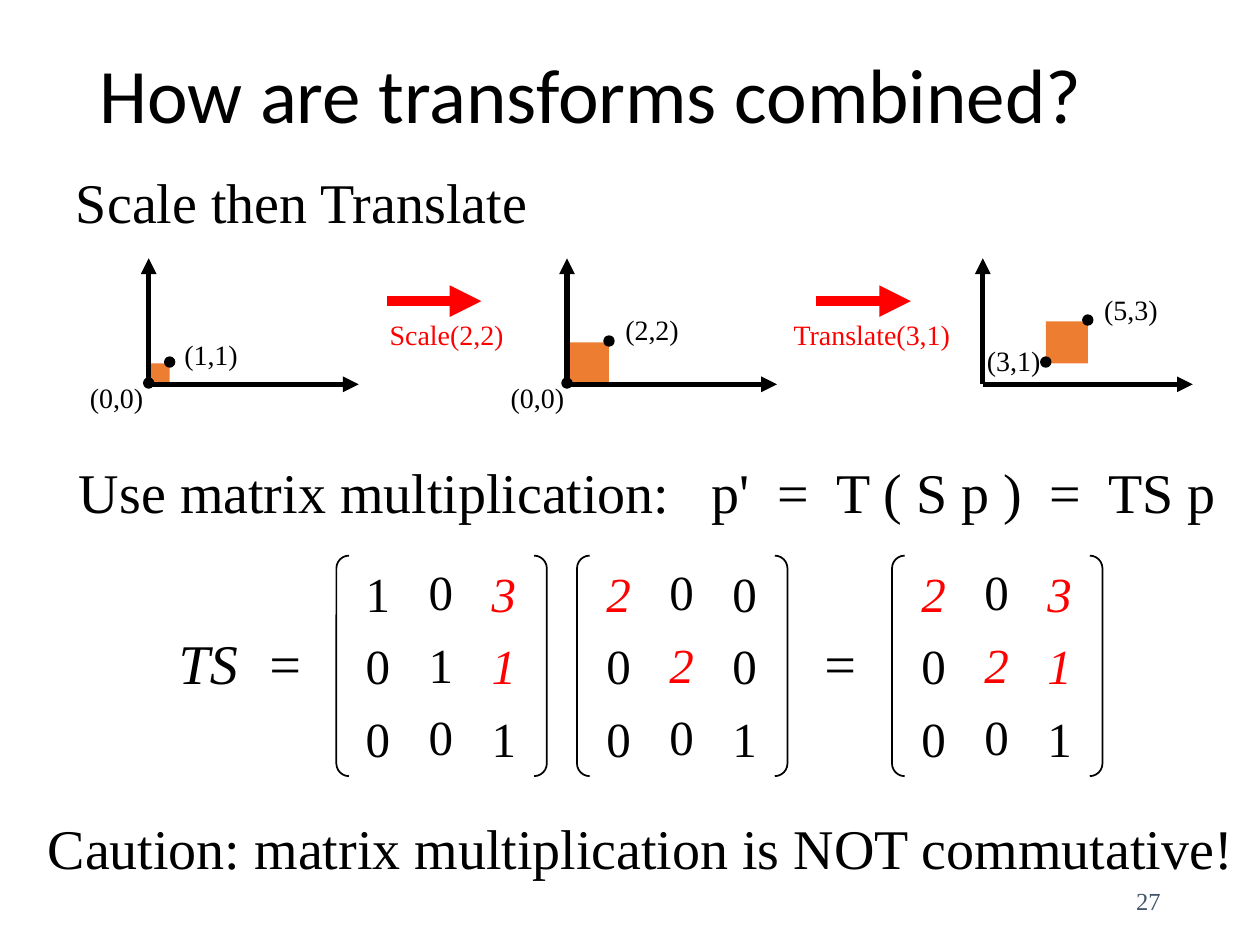
from lxml.etree import SubElement
from pptx import Presentation
from pptx.dml.color import RGBColor
from pptx.enum.shapes import MSO_CONNECTOR, MSO_SHAPE
from pptx.enum.text import MSO_ANCHOR, PP_ALIGN
from pptx.oxml.ns import qn
from pptx.util import Inches, Pt

COLORS = {"black": "000000", "red": "FF0000", "orange": "ED7D31", "slate": "44546A"}
SERIF = "Times New Roman"

TITLE = "How are transforms combined?"
PAGE_NUMBER = "27"
# Wording, left, top, width, space before
STATEMENTS = [
    ("Scale then Translate", 0.49, 1.28, 3.81, 0),
    ("Use matrix multiplication:   p'  =  T ( S p )  =  TS p", 0.52, 3.58, 9.25, 0),
    ("Caution: matrix multiplication is NOT commutative!", 0.28, 6.41, 9.62, 7.8),
]
# Each plot: x of its origin, square corners in plot units, corner labels
PLOTS = [
    {"origin": 1.18, "corners": [(0, 0), (1, 1)],
     "labels": [("(0,0)", 0.6, 2.97), ("(1,1)", 1.35, 2.63)]},
    {"origin": 4.5, "corners": [(0, 0), (2, 2)],
     "labels": [("(0,0)", 3.94, 2.97), ("(2,2)", 4.85, 2.43)]},
    {"origin": 7.8, "corners": [(3, 1), (5, 3)],
     "labels": [("(3,1)", 7.72, 2.68), ("(5,3)", 8.65, 2.27)]},
]
# Wording, left and width of the label, start of the arrow
STEPS = [("Scale(2,2)", 2.93, 1.23, 3.07), ("Translate(3,1)", 6.14, 1.56, 6.48)]
# Left edge and rows; a star marks a highlighted entry
MATRICES = [
    (2.67, ["1 0 3*", "0 1 1*", "0 0 1"]),
    (4.58, ["2* 0 0", "0 2* 0", "0 0 1"]),
    (7.08, ["2* 0 3*", "0 2* 1*", "0 0 1"]),
]
EQUATION_SIGNS = [("TS  =", 1.33, 1.17), ("=", 6.5, 0.33)]

UNIT = 1 / 6
BASELINE = 3.05
DOT = 0.08

prs = Presentation()
prs.slide_width, prs.slide_height = Inches(10), Inches(7.5)
slide = prs.slides.add_slide(prs.slide_layouts[6])


def rgb(name):
    return RGBColor.from_string(COLORS[name])


def add_text(lines, left, top, width, height, size, color="black", font=SERIF,
             align=PP_ALIGN.CENTER, before=0, inset=True, wrap=True, italic=False):
    """Add a text box; a line ending in a star is red and italic."""
    box = slide.shapes.add_textbox(Inches(left), Inches(top), Inches(width), Inches(height))
    frame = box.text_frame
    frame.word_wrap = wrap
    if not inset:
        frame.margin_left = frame.margin_right = frame.margin_top = frame.margin_bottom = 0
    frame.text = "\n".join(line.rstrip("*") for line in lines)
    for paragraph, line in zip(frame.paragraphs, lines):
        starred = line.endswith("*")
        paragraph.alignment = align
        paragraph.space_before = Pt(before)
        style = paragraph.runs[0].font
        style.name, style.size = font, Pt(size)
        style.italic = starred or italic
        style.color.rgb = rgb("red" if starred else color)
    return frame


def add_shape(kind, left, top, width, height, fill=None, line=None, weight=0.75):
    shape = slide.shapes.add_shape(
        kind, Inches(left), Inches(top), Inches(width), Inches(height))
    shape.shadow.inherit = False
    if fill:
        shape.fill.solid()
        shape.fill.fore_color.rgb = rgb(fill)
    else:
        shape.fill.background()
    if line:
        shape.line.color.rgb = rgb(line)
        shape.line.width = Pt(weight)
    else:
        shape.line.fill.background()
    return shape


def add_arrow(x1, y1, x2, y2, color, weight):
    arrow = slide.shapes.add_connector(
        MSO_CONNECTOR.STRAIGHT, Inches(x1), Inches(y1), Inches(x2), Inches(y2))
    arrow.line.color.rgb = rgb(color)
    arrow.line.width = Pt(weight)
    SubElement(arrow.line._get_or_add_ln(), qn("a:tailEnd"), type="triangle")
    SubElement(arrow._element.spPr, qn("a:effectLst"))


# Title and page number
title = add_text([TITLE], 0.69, 0.4, 8.62, 1.45, 44, font="Calibri", align=PP_ALIGN.LEFT)
title.paragraphs[0].line_spacing = 0.9
page = add_text([PAGE_NUMBER], 7.06, 6.95, 2.25, 0.4, 14, "slate", align=PP_ALIGN.RIGHT)
page.vertical_anchor = MSO_ANCHOR.MIDDLE

# Statements
for wording, left, top, width, before in STATEMENTS:
    add_text([wording], left, top, width, 0.63, 32, before=before, wrap=False)

# Plots: square, corner dots, labels and axes
for plot in PLOTS:
    origin = plot["origin"]
    (x1, y1), (x2, y2) = plot["corners"]
    add_shape(MSO_SHAPE.RECTANGLE, origin + x1 * UNIT, BASELINE - y2 * UNIT,
              (x2 - x1) * UNIT, (y2 - y1) * UNIT, fill="orange")
    for x, y in plot["corners"]:
        add_shape(MSO_SHAPE.OVAL, origin + x * UNIT - DOT / 2,
                  BASELINE - 0.01 - y * UNIT - DOT / 2, DOT, DOT, "black", "black")
    for wording, left, top in plot["labels"]:
        add_text([wording], left, top, 0.65, 0.37, 16)
    add_arrow(origin, BASELINE, origin, BASELINE - 6 * UNIT, "black", 3)
    add_arrow(origin, BASELINE, origin + 10 * UNIT, BASELINE, "black", 3)

# Transform steps between the plots
for wording, left, width, start in STEPS:
    add_text([wording], left, 2.47, width, 0.37, 16, "red")
    add_arrow(start, 2.39, start + 0.75, 2.39, "red", 6)

# Matrix equation, one text box per matrix column
for left, rows in MATRICES:
    brackets = add_shape(MSO_SHAPE.DOUBLE_BRACKET, left, 4.41, 1.67, 1.75,
                         line="black", weight=1)
    brackets.adjustments[0] = 0.06
    for index, column in enumerate(zip(*(row.split() for row in rows))):
        add_text(column, left + 0.08 + index * 0.5, 4.46 if index == 1 else 4.47,
                 0.5, 1.62, 28, before=7.8, inset=False)
for wording, left, width in EQUATION_SIGNS:
    add_text([wording], left, 4.99, width, 0.53, 32, before=7.8, inset=False, italic=True)

prs.save("out.pptx")
